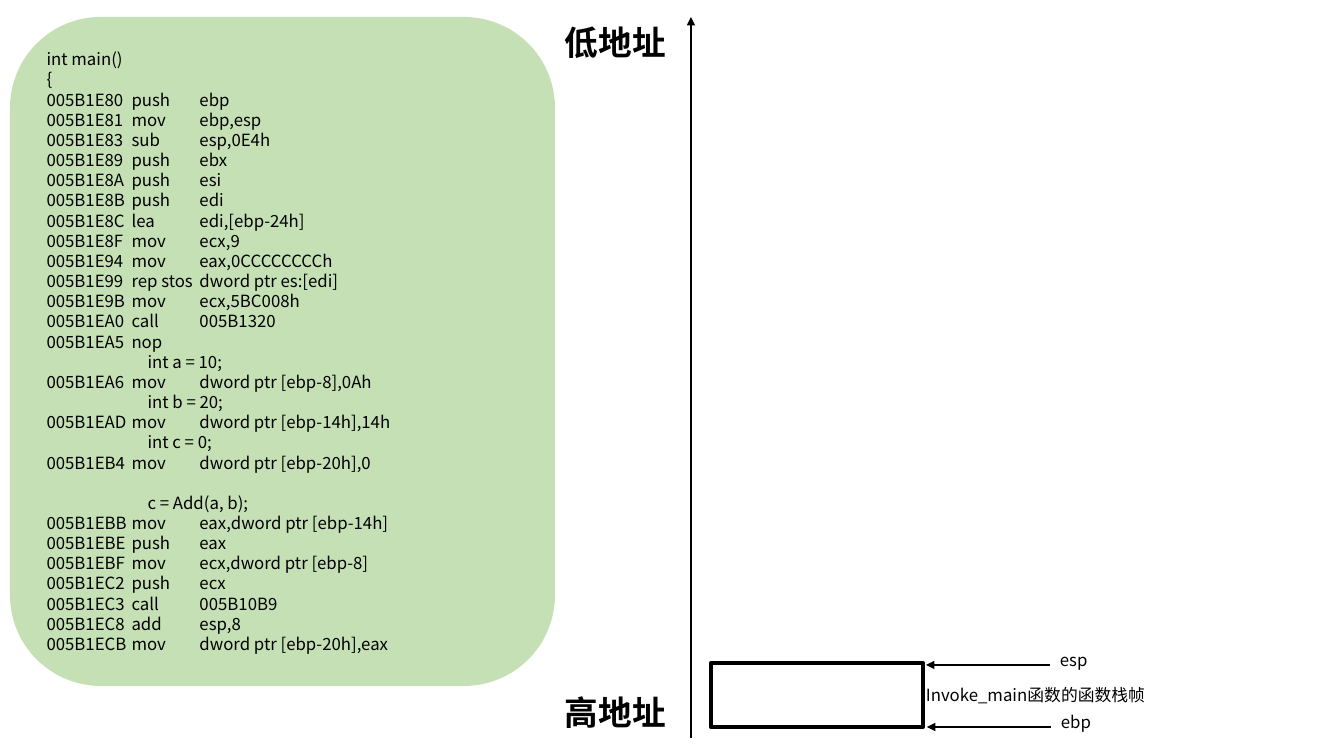
import pptx
import pptx.dml.color
import pptx.enum.shapes
import pptx.enum.text
import pptx.oxml.ns
import pptx.util

BLACK = pptx.dml.color.RGBColor(0x00, 0x00, 0x00)
GREEN = pptx.dml.color.RGBColor(0xC5, 0xE0, 0xB4)
SHAPES = pptx.enum.shapes.MSO_SHAPE
ANCHORS = pptx.enum.text.MSO_ANCHOR
LEFT = pptx.enum.text.PP_ALIGN.LEFT

# Instructions are tuples of columns; C source lines are plain strings.
PROLOGUE = [
    ("005B1E80", "push", "ebp"),
    ("005B1E81", "mov", "ebp,esp"),
    ("005B1E83", "sub", "esp,0E4h"),
    ("005B1E89", "push", "ebx"),
    ("005B1E8A", "push", "esi"),
    ("005B1E8B", "push", "edi"),
    ("005B1E8C", "lea", "edi,[ebp-24h]"),
    ("005B1E8F", "mov", "ecx,9"),
    ("005B1E94", "mov", "eax,0CCCCCCCCh"),
    ("005B1E99", "rep stos", "dword ptr es:[edi]"),
    ("005B1E9B", "mov", "ecx,5BC008h"),
    ("005B1EA0", "call", "005B1320"),
    ("005B1EA5", "nop"),
]
VARIABLES = [
    "int a = 10;",
    ("005B1EA6", "mov", "dword ptr [ebp-8],0Ah"),
    "int b = 20;",
    ("005B1EAD", "mov", "dword ptr [ebp-14h],14h"),
    "int c = 0;",
    ("005B1EB4", "mov", "dword ptr [ebp-20h],0"),
]
ADD_CALL = [
    "c = Add(a, b);",
    ("005B1EBB", "mov", "eax,dword ptr [ebp-14h]"),
    ("005B1EBE", "push", "eax"),
    ("005B1EBF", "mov", "ecx,dword ptr [ebp-8]"),
    ("005B1EC2", "push", "ecx"),
    ("005B1EC3", "call", "005B10B9"),
    ("005B1EC8", "add", "esp,8"),
    ("005B1ECB", "mov", "dword ptr [ebp-20h],eax"),
]
COLUMN_STOPS = (85, 153, 161)
SOURCE_INDENT = 101


def px(length):
    return pptx.util.Emu(round(length * 914400 / 100.8))


def append_tag(parent, tag, **attributes):
    child = parent.makeelement(pptx.oxml.ns.qn(tag), attributes)
    parent.append(child)
    return child


class StackPage:
    font = "Noto Sans CJK SC"
    line_height = 1.2

    def __init__(self, deck):
        self.page = deck.slides.add_slide(deck.slide_layouts[6])

    def set_text(self, para, text, size=12, bold=False, indent=0, gap_lines=0, stops=()):
        """Fill a paragraph; indent and tab stops are in px."""
        height = size * self.line_height
        para.alignment = LEFT
        para.line_spacing = pptx.util.Pt(height)
        para.space_before = pptx.util.Pt(height * gap_lines)
        span = para.add_run()
        span.text = text
        span.font.name = self.font
        span.font.size = pptx.util.Pt(size)
        span.font.bold = bold
        span.font.color.rgb = BLACK
        append_tag(span.font._element, "a:ea", typeface=self.font)
        properties = para._p.get_or_add_pPr()
        if indent:
            properties.set("marL", str(px(indent)))
            properties.set("indent", "0")
        if stops:
            tabs = append_tag(properties, "a:tabLst")
            for stop in stops:
                append_tag(tabs, "a:tab", pos=str(px(stop)), algn="l")

    def label(self, text, left, top, width, height, **style):
        box = self.page.shapes.add_textbox(px(left), px(top), px(width), px(height))
        box.text_frame.word_wrap = True
        self.set_text(box.text_frame.paragraphs[0], text, **style)

    def block(self, kind, left, top, width, height, fill=None, line_width=0):
        shape = self.page.shapes.add_shape(
            kind, px(left), px(top), px(width), px(height))
        shape.shadow.inherit = False
        if fill is None:
            shape.fill.background()
        else:
            shape.fill.solid()
            shape.fill.fore_color.rgb = fill
        if line_width:
            shape.line.color.rgb = BLACK
            shape.line.width = pptx.util.Pt(line_width)
        else:
            shape.line.fill.background()
        return shape

    def arrow(self, start_x, start_y, end_x, end_y):
        arrow = self.page.shapes.add_connector(
            pptx.enum.shapes.MSO_CONNECTOR.STRAIGHT,
            px(start_x), px(start_y), px(end_x), px(end_y))
        arrow.line.color.rgb = BLACK
        arrow.line.width = pptx.util.Pt(1.5)
        append_tag(arrow.line._get_or_add_ln(), "a:tailEnd", type="triangle")
        append_tag(arrow._element.spPr, "a:effectLst")

    def listing(self, left, top, width, height):
        panel = self.block(SHAPES.ROUNDED_RECTANGLE, left, top, width, height, fill=GREEN)
        frame = panel.text_frame
        frame.word_wrap = True
        frame.vertical_anchor = ANCHORS.MIDDLE
        self.set_text(frame.paragraphs[0], "int main()")
        self.set_text(frame.add_paragraph(), "{")
        for row in PROLOGUE + VARIABLES + ADD_CALL:
            para = frame.add_paragraph()
            if isinstance(row, tuple):
                self.set_text(para, "\t".join(row), stops=COLUMN_STOPS)
            else:
                self.set_text(para, row, indent=SOURCE_INDENT,
                              gap_lines=int(row == ADD_CALL[0]))


def main():
    deck = pptx.Presentation()
    deck.slide_width = px(1344)
    deck.slide_height = px(756)
    stack = StackPage(deck)
    stack.listing(10, 17, 545, 669)
    stack.arrow(691, 738, 691, 17)
    for text, top in (("高地址", 687), ("低地址", 17)):
        stack.label(text, 555, top, 165, 50, size=24, bold=True)
    stack.block(SHAPES.RECTANGLE, 711, 663, 212, 64, line_width=3)
    stack.label("Invoke_main函数的函数栈帧", 916, 680, 348, 30)
    for register, left, level in (("esp", 1050, 665), ("ebp", 1051, 727)):
        stack.arrow(left, level, left - 124, level)
        stack.label(register, left, level - 20, 348, 30)
    deck.save("out.pptx")


if __name__ == "__main__":
    main()
